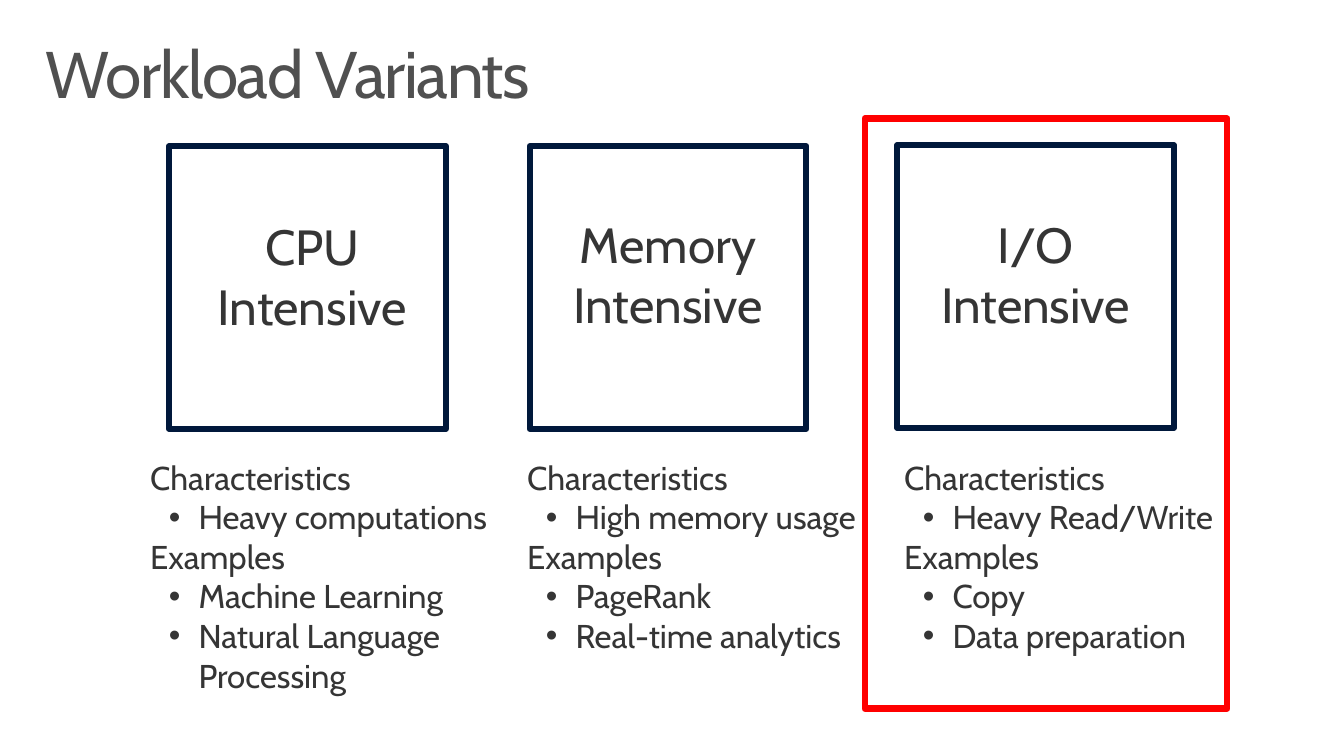
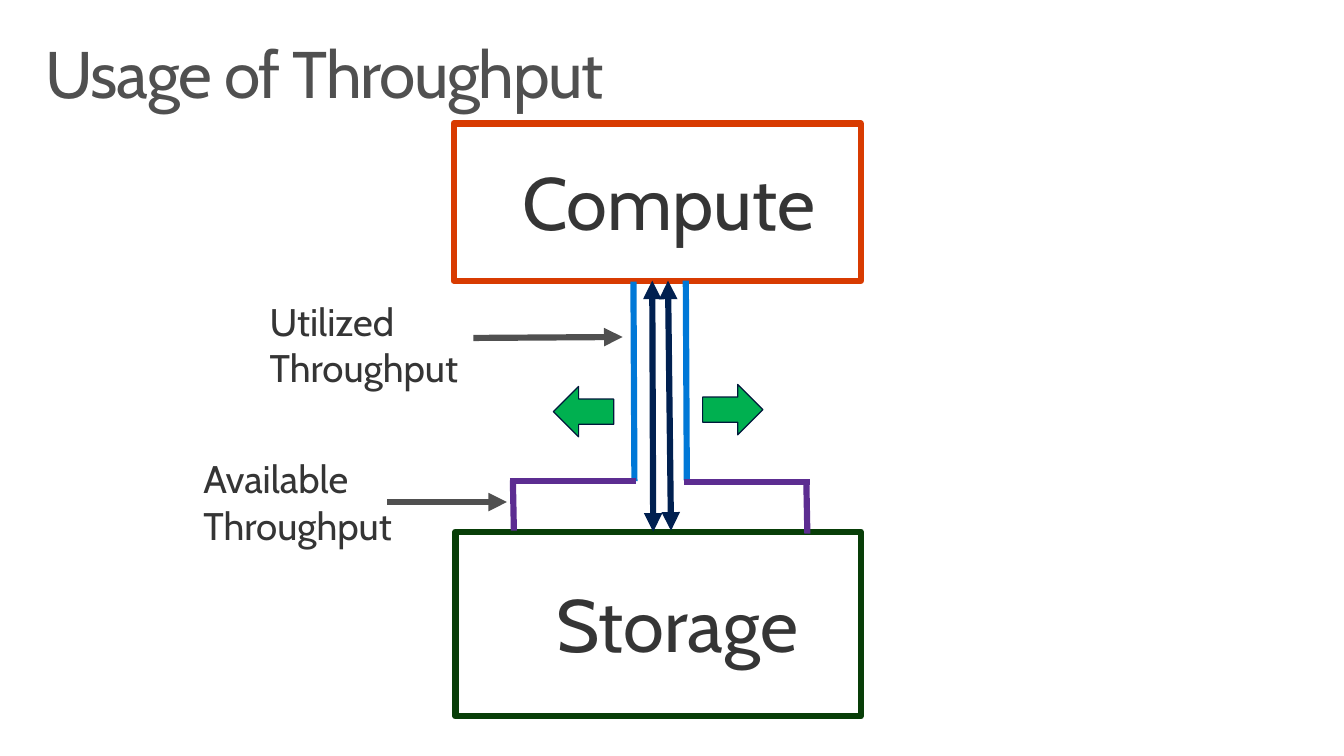
from dataclasses import dataclass

from lxml import etree
from pptx import Presentation
from pptx.dml.color import RGBColor
from pptx.enum.shapes import MSO_CONNECTOR, MSO_SHAPE
from pptx.enum.text import PP_ALIGN
from pptx.oxml.ns import qn
from pptx.util import Inches, Pt

# The grid: 136 columns by 76.5 rows of square cells
CELL = Inches(0.1)
COLUMNS, ROWS = 136, 76.5

RECTANGLE = MSO_SHAPE.RECTANGLE
RIGHT_ARROW = MSO_SHAPE.RIGHT_ARROW
STRAIGHT = MSO_CONNECTOR.STRAIGHT
LEFT, CENTER = PP_ALIGN.LEFT, PP_ALIGN.CENTER

# Shared style
FONT = "Cabin"
TEXT, GRAY = "353535", "505050"
NAVY, RED, WHITE = "00183B", "FF0000", "FFFFFF"
ORANGE, FOREST, GREEN = "D83B01", "083E08", "00B050"
BLUE, MIDNIGHT, PURPLE = "0078D7", "002050", "5C2D91"
STROKE = 4.5
LABEL_INDENT = 3.3
BULLET_INDENT, BULLET_HANG = 8.2, 3


@dataclass(frozen=True)
class Area:
    left: float
    top: float
    width: float
    height: float


@dataclass(frozen=True)
class Line:
    """A straight line, with arrowheads at its start and end if asked."""
    start: tuple[float, float]
    end: tuple[float, float]
    color: str
    head: bool = False
    tail: bool = False


@dataclass(frozen=True)
class Workload:
    name: str
    square: tuple[float, float]
    label: tuple[float, float]
    trait: str
    examples: tuple[str, ...]


@dataclass(frozen=True)
class Node:
    name: str
    area: Area
    label: Area
    color: str


WORKLOADS = (
    Workload("CPU Intensive", (17.1, 14.8), (20.4, 21.4), "Heavy computations",
             ("Machine Learning", "Natural Language Processing")),
    Workload("Memory Intensive", (53.6, 14.8), (56.4, 21.2), "High memory usage",
             ("PageRank", "Real-time analytics")),
    Workload("I/O Intensive", (90.8, 14.7), (93.6, 21.2), "Heavy Read/Write",
             ("Copy", "Data preparation")),
)
LIST_LEFT, LIST_PITCH = 10.9, 38.15

NODES = (
    Node("Compute", Area(45.9, 12.5, 41.2, 15.9), Area(50.7, 15.3, 33.9, 10.1), ORANGE),
    Node("Storage", Area(46.1, 53.8, 41, 18.7), Area(54.1, 58, 28.9, 10.1), FOREST),
)
CAPTIONS = (
    ("Utilized Throughput", Area(23, 29.7, 26.2, 10.4)),
    ("Available Throughput", Area(16.3, 45.6, 27.3, 10.4)),
)
GROWTH_ARROWS = (
    (Area(71.1, 38.9, 6.1, 5.1), 0),
    (Area(56, 39.1, 6.1, 5.1), 180),
)
LINES = (
    # Pointers from the captions
    Line((47.9, 34.2), (63, 34.1), GRAY, tail=True),
    Line((39.2, 50.8), (51.3, 50.8), GRAY, tail=True),
    # Narrow channel and the traffic inside it
    Line((69.4, 28.4), (69.5, 48.6), BLUE),
    Line((66, 28.4), (66.1, 53.8), MIDNIGHT, head=True, tail=True),
    Line((67.6, 28.4), (67.9, 53.7), MIDNIGHT, head=True, tail=True),
    Line((64.1, 28.5), (64.2, 48.7), BLUE),
    # Wide channel at the storage
    Line((51.9, 48.6), (52, 53.7), PURPLE),
    Line((81.6, 49), (81.7, 54), PURPLE),
    Line((69.2, 48.8), (82, 48.8), PURPLE),
    Line((51.6, 48.7), (64.4, 48.7), PURPLE),
)


def cells(count: float) -> int:
    return round(count * CELL)


def rgb(color: str) -> RGBColor:
    return RGBColor.from_string(color)


def place(area: Area) -> tuple[int, int, int, int]:
    return cells(area.left), cells(area.top), cells(area.width), cells(area.height)


def style_paragraph(para, size: float, color: str = TEXT, align=LEFT,
                    indent: float = 0, bullet: bool = False) -> None:
    properties = para._p.get_or_add_pPr()
    properties.set("marL", str(cells(indent)))
    properties.set("indent", str(cells(-BULLET_HANG if bullet else 0)))
    if bullet:
        etree.SubElement(properties, qn("a:buFont"), typeface="Arial")
        etree.SubElement(properties, qn("a:buChar"), char="•")
    para.alignment = align
    para.font.name = FONT
    para.font.size = Pt(size)
    para.font.color.rgb = rgb(color)


def add_text(page, area: Area, text: str, size: float, **style):
    frame = page.shapes.add_textbox(*place(area)).text_frame
    frame.word_wrap = True
    para = frame.paragraphs[0]
    para.text = text
    style_paragraph(para, size, **style)
    return frame


def add_shape(page, kind, area: Area, line: str, width: float = STROKE,
              fill: str | None = None):
    shape = page.shapes.add_shape(kind, *place(area))
    shape.shadow.inherit = False
    if fill:
        shape.fill.solid()
        shape.fill.fore_color.rgb = rgb(fill)
    else:
        shape.fill.background()
    shape.line.color.rgb = rgb(line)
    shape.line.width = Pt(width)
    return shape


def add_line(page, line: Line) -> None:
    points = [cells(value) for value in (*line.start, *line.end)]
    connector = page.shapes.add_connector(STRAIGHT, *points)
    connector.line.color.rgb = rgb(line.color)
    connector.line.width = Pt(STROKE)
    outline = connector.line._get_or_add_ln()
    for tag, wanted in (("a:headEnd", line.head), ("a:tailEnd", line.tail)):
        if wanted:
            etree.SubElement(outline, qn(tag), type="triangle")
    etree.SubElement(connector._element.spPr, qn("a:effectLst"))


def add_page(deck, title: str):
    page = deck.slides.add_slide(deck.slide_layouts[6])
    frame = add_text(page, Area(3, 3.2, 130, 10), title, 48, color=GRAY)
    frame.margin_left = frame.margin_right = cells(1.6)
    frame.margin_top = frame.margin_bottom = cells(1)
    para = frame.paragraphs[0]
    para.line_spacing = 0.9
    para.runs[0]._r.get_or_add_rPr().set("spc", "-100")
    return page


def add_workload(page, column: int, workload: Workload) -> None:
    add_shape(page, RECTANGLE, Area(*workload.square, 28, 28.6), NAVY)
    add_text(page, Area(*workload.label, 22.4, 13.1), workload.name, 36, align=CENTER)
    area = Area(LIST_LEFT + column * LIST_PITCH, 45.8, 40.5, 27.3)
    frame = add_text(page, area, "Characteristics", 24, indent=LABEL_INDENT)
    entries = [(workload.trait, True), ("Examples", False)]
    entries += [(example, True) for example in workload.examples]
    for text, bullet in entries:
        para = frame.add_paragraph()
        para.text = text
        indent = BULLET_INDENT if bullet else LABEL_INDENT
        style_paragraph(para, 24, indent=indent, bullet=bullet)


def build_workloads(deck) -> None:
    page = add_page(deck, "Workload Variants")
    for column, workload in enumerate(WORKLOADS):
        add_workload(page, column, workload)
    # Highlight around the last column
    add_shape(page, RECTANGLE, Area(87.5, 12, 36.7, 59.7), RED)


def build_throughput(deck) -> None:
    page = add_page(deck, "Usage of Throughput")
    for node in NODES:
        add_shape(page, RECTANGLE, node.area, node.color, fill=WHITE)
        add_text(page, node.label, node.name, 54, align=CENTER)
    for text, area in CAPTIONS:
        add_text(page, area, text, 28, indent=LABEL_INDENT)
    for area, rotation in GROWTH_ARROWS:
        arrow = add_shape(page, RIGHT_ARROW, area, NAVY, width=0.85, fill=GREEN)
        arrow.rotation = rotation
    for line in LINES:
        add_line(page, line)


def main() -> None:
    deck = Presentation()
    deck.slide_width, deck.slide_height = cells(COLUMNS), cells(ROWS)
    build_workloads(deck)
    build_throughput(deck)
    deck.save("out.pptx")


if __name__ == "__main__":
    main()
